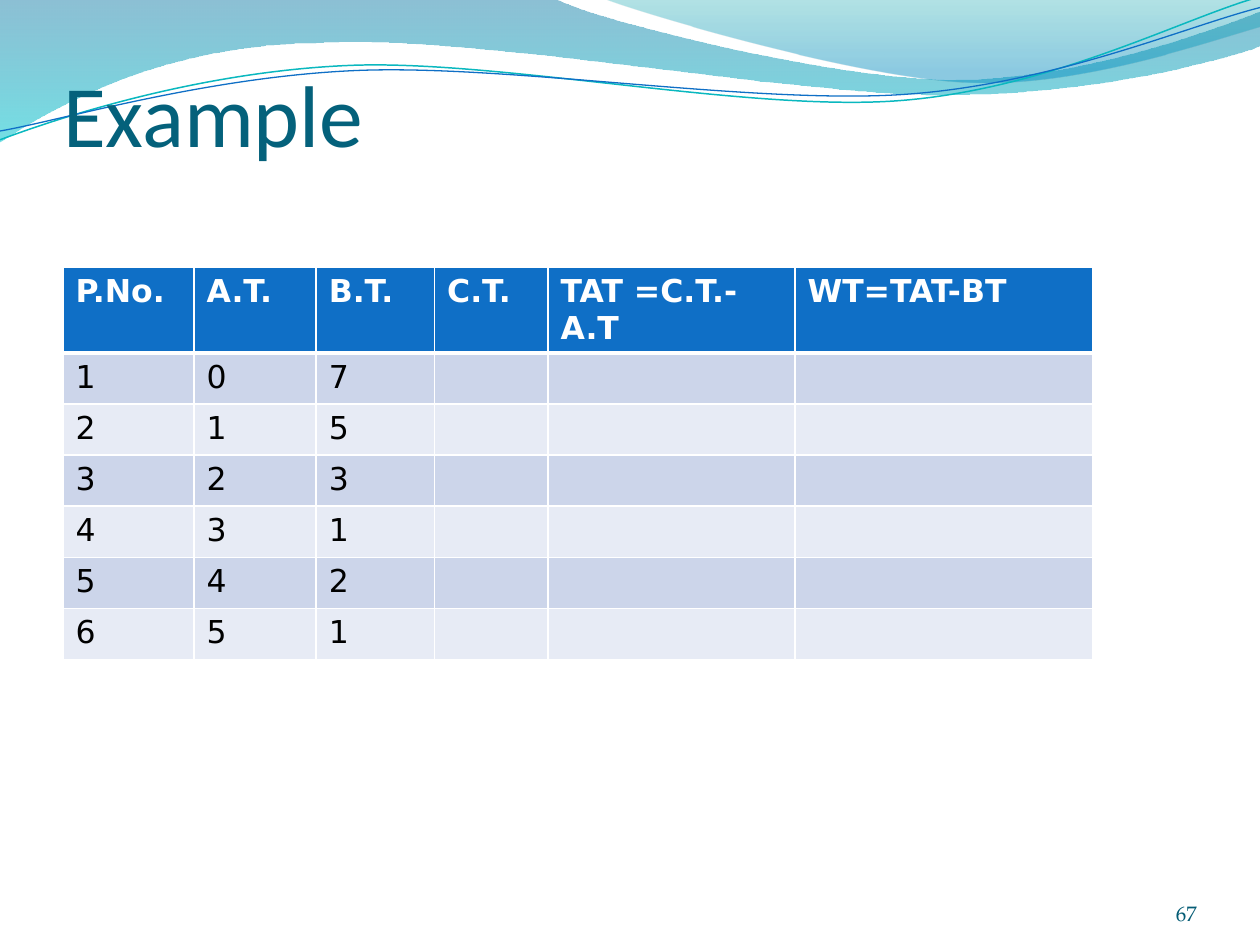
import lxml.etree
import pptx
import pptx.dml.color
import pptx.enum.text
import pptx.oxml.ns
import pptx.util

Inches = pptx.util.Inches
Pt = pptx.util.Pt
RGBColor = pptx.dml.color.RGBColor
qn = pptx.oxml.ns.qn

WHITE = RGBColor(0xFF, 0xFF, 0xFF)
BLACK = RGBColor(0x00, 0x00, 0x00)
BLUE = RGBColor(0x0F, 0x6F, 0xC6)
TEAL = RGBColor(0x0A, 0xB8, 0xBF)
TITLE_TEAL = RGBColor(0x04, 0x61, 0x7B)
NUMBER_TEAL = RGBColor(0x04, 0x5C, 0x75)
WAVE_BLUE = RGBColor(0x00, 0x74, 0xA1)
WAVE_CYAN = RGBColor(0x00, 0xC6, 0xCF)
CREST_GREEN = RGBColor(0x00, 0xA1, 0xA9)
CREST_BLUE = RGBColor(0x00, 0x8B, 0xBF)
ROW_BANDS = (RGBColor(0xCC, 0xD5, 0xEA), RGBColor(0xE7, 0xEB, 0xF5))

WAVE = [
    [(0, -0.01)],
    [(4.4, -0.01)],
    [(4.76, 0.17), (6.64, 0.63), (7.58, 0.63)],
    [(8.53, 0.63), (9.58, 0.26), (10, 0.09)],
    [(10.01, 0.36)],
    [(9.83, 0.44), (8.7, 0.76), (7.46, 0.75)],
    [(6.22, 0.75), (3.82, 0.28), (2.57, 0.34)],
    [(1.29, 0.35), (0.46, 0.83), (-0.01, 1.13)],
    [(0, -0.01)],
]
CREST = [
    [(4.79, -0.01)],
    [(5.09, 0.11), (6.82, 0.62), (7.69, 0.65)],
    [(8.56, 0.69), (9.61, 0.32), (10, 0.21)],
    [(10, 0)],
    [(4.79, -0.01)],
]
TEAL_RIPPLE = [
    [(0, 1.11)],
    [(0.48, 0.93), (1.58, 0.57), (2.77, 0.52)],
    [(3.95, 0.47), (5.93, 0.89), (7.13, 0.8)],
    [(8.33, 0.71), (9.38, 0.15), (9.98, -0.02)],
]
BLUE_RIPPLE = [
    [(0, 1.04)],
    [(0.47, 0.96), (1.64, 0.61), (2.83, 0.56)],
    [(4.03, 0.51), (5.97, 0.83), (7.17, 0.75)],
    [(8.36, 0.67), (9.41, 0.21), (10, 0.06)],
]

HEADERS = ("P.No.", "A.T.", "B.T.", "C.T.", "TAT =C.T.-A.T", "WT=TAT-BT")
BURST_TIMES = (7, 5, 3, 1, 2, 1)
COLUMN_WIDTHS = (1.04, 0.97, 0.94, 0.9, 1.96, 2.36)


def bend_segments(outline, segments):
    """Turn each run of three line segments into one cubic curve."""
    lines = iter(list(outline.element.spPr.iter(qn("a:lnTo"))))
    for segment in segments[1:]:
        pieces = [next(lines) for _ in segment]
        if len(segment) == 3:
            curve = lxml.etree.Element(qn("a:cubicBezTo"))
            pieces[0].addprevious(curve)
            for piece in pieces:
                curve.append(piece[0])
                piece.getparent().remove(piece)


def add_outline(slide, segments, close):
    """Add a freeform without shadow that follows straight and cubic segments."""
    start, *rest = [(Inches(x), Inches(y)) for segment in segments for x, y in segment]
    builder = slide.shapes.build_freeform(*start)
    builder.add_line_segments(rest, close=close)
    outline = builder.convert_to_shape()
    bend_segments(outline, segments)
    outline.shadow.inherit = False
    return outline


def add_wave(slide, segments, stops):
    """Add a filled wave whose stops give position, colour and opacity percent."""
    wave = add_outline(slide, segments, True)
    wave.line.fill.background()
    wave.fill.gradient()
    wave.fill.gradient_angle = 270
    for stop, (position, color, _) in zip(wave.fill.gradient_stops, stops):
        stop.position = position
        stop.color.rgb = color
    for color_element, (_, _, opacity) in zip(wave.element.spPr.iter(qn("a:srgbClr")), stops):
        alpha = lxml.etree.SubElement(color_element, qn("a:alpha"))
        alpha.set("val", str(opacity * 1000))


def add_ripple(slide, segments, color, width):
    """Add a thin open curve."""
    ripple = add_outline(slide, segments, False)
    ripple.fill.background()
    ripple.line.color.rgb = color
    ripple.line.width = Pt(width)


def format_text(frame, font_name, size, color, bold=False):
    """Set the font of every run in the frame."""
    for paragraph in frame.paragraphs:
        for run in paragraph.runs:
            run.font.name = font_name
            run.font.size = Pt(size)
            run.font.bold = bold
            run.font.color.rgb = color


def set_frame(frame, top_inset=0):
    """Wrap and bottom-align the frame with only a top inset."""
    frame.word_wrap = True
    frame.auto_size = pptx.enum.text.MSO_AUTO_SIZE.NONE
    frame.vertical_anchor = pptx.enum.text.MSO_ANCHOR.BOTTOM
    frame.margin_left = frame.margin_right = frame.margin_bottom = 0
    frame.margin_top = Inches(top_inset)


def place_title(slide, text):
    """Fill and place the title in front of the waves."""
    title = slide.shapes.title
    title.left, title.top = Inches(0.5), Inches(0.77)
    title.width, title.height = Inches(9), Inches(0.54)
    title.text_frame.text = text
    set_frame(title.text_frame, 0.05)
    title.text_frame.paragraphs[0].alignment = pptx.enum.text.PP_ALIGN.LEFT
    format_text(title.text_frame, "Calibri", 50, TITLE_TEAL)
    title.element.getparent().append(title.element)


def set_borders(cell, top, bottom):
    """Give the cell white borders, with top and bottom widths in points."""
    properties = cell._tc.get_or_add_tcPr()
    sides = (("a:lnL", 1), ("a:lnR", 1), ("a:lnT", top), ("a:lnB", bottom))
    for index, (side, width) in enumerate(sides):
        border = lxml.etree.Element(qn(side), w=str(Pt(width)))
        fill = lxml.etree.SubElement(border, qn("a:solidFill"))
        lxml.etree.SubElement(fill, qn("a:srgbClr"), val=str(WHITE))
        properties.insert(index, border)


def add_schedule(slide):
    """Add the process table with its empty result columns."""
    processes = [(n + 1, n, burst, "", "", "") for n, burst in enumerate(BURST_TIMES)]
    rows = [HEADERS, *processes]
    schedule = slide.shapes.add_table(
        len(rows), len(HEADERS), Inches(0.5), Inches(2.12),
        Inches(sum(COLUMN_WIDTHS)), Inches(2.84),
    ).table
    for column, width in zip(schedule.columns, COLUMN_WIDTHS):
        column.width = Inches(width)
    for row_index, row in enumerate(rows):
        is_header = row_index == 0
        for column_index, value in enumerate(row):
            cell = schedule.cell(row_index, column_index)
            cell.text_frame.text = str(value)
            format_text(cell.text_frame, "DejaVu Sans", 18,
                        WHITE if is_header else BLACK, is_header)
            cell.fill.solid()
            cell.fill.fore_color.rgb = BLUE if is_header else ROW_BANDS[(row_index - 1) % 2]
            set_borders(cell, 3 if row_index == 1 else 1, 3 if is_header else 1)


def add_page_number(slide, number):
    """Add the page number at the lower right."""
    page = slide.shapes.add_textbox(Inches(8.67), Inches(6.95), Inches(0.83), Inches(0.4))
    page.text_frame.text = number
    set_frame(page.text_frame)
    page.text_frame.paragraphs[0].alignment = pptx.enum.text.PP_ALIGN.RIGHT
    format_text(page.text_frame, "TeX Gyre Pagella", 12, NUMBER_TEAL)


def main():
    """Build and save the slide."""
    presentation = pptx.Presentation()
    presentation.slide_width, presentation.slide_height = Inches(10), Inches(7.5)
    slide = presentation.slides.add_slide(presentation.slide_layouts[5])
    add_wave(slide, WAVE, ((0, WAVE_BLUE, 45), (1, WAVE_CYAN, 55)))
    add_wave(slide, CREST, ((0, CREST_GREEN, 30), (0.8, CREST_BLUE, 45)))
    add_ripple(slide, TEAL_RIPPLE, TEAL, 0.85)
    add_ripple(slide, BLUE_RIPPLE, BLUE, 0.75)
    place_title(slide, "Example")
    add_schedule(slide)
    add_page_number(slide, "67")
    presentation.save("out.pptx")


if __name__ == "__main__":
    main()
